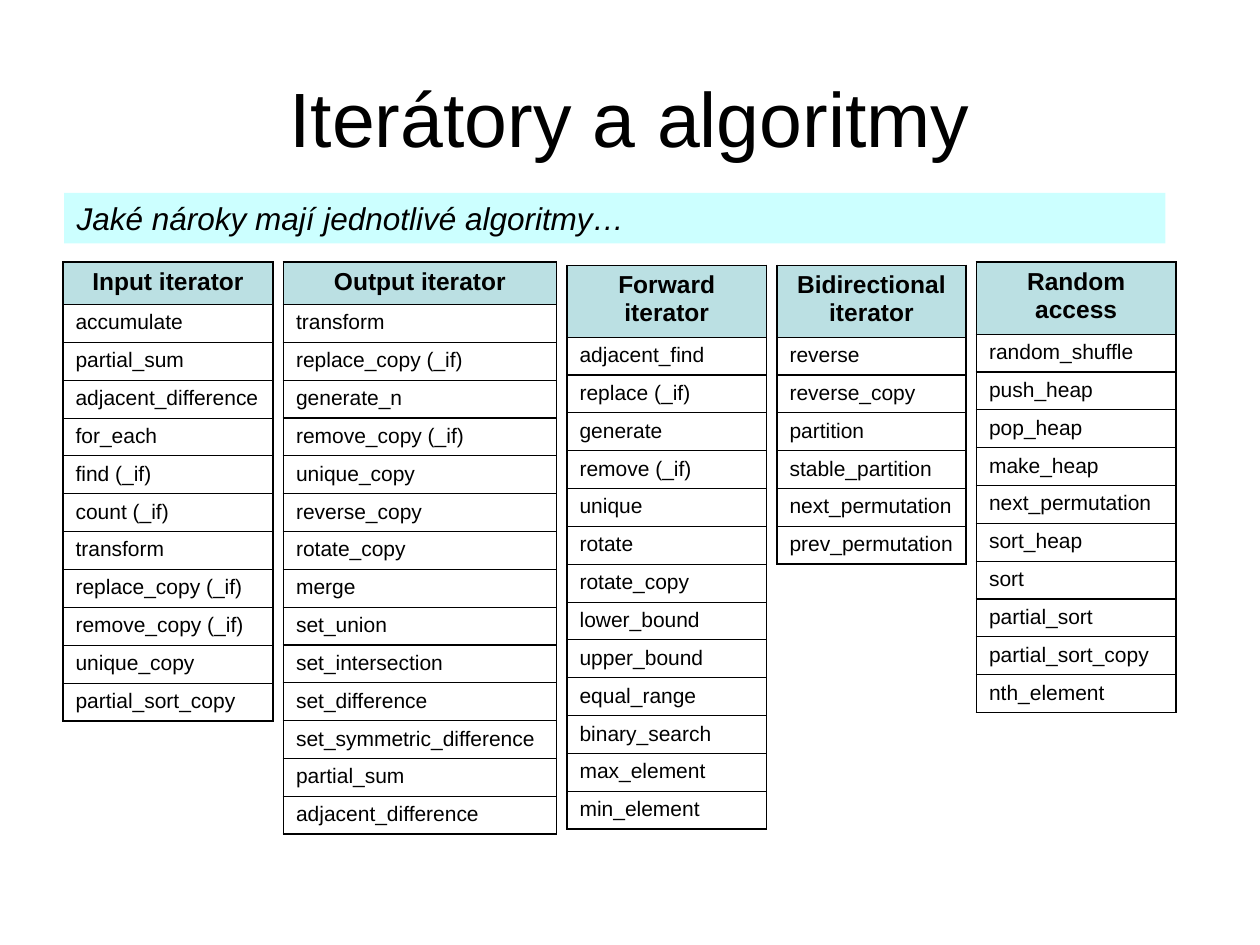
from lxml import etree
from pptx import Presentation
from pptx.dml.color import RGBColor
from pptx.enum import shapes, text
from pptx.oxml.ns import qn
from pptx.util import Inches, Pt

COLORS = {"ink": "000000", "band": "CCFFFF", "header": "BBE0E3"}
FONT = "Arial"
W, H = Inches(10), Inches(7.5)
COL = W / 120          # grid column
ROW = H / 25           # height of one table row
GAP = 1                # columns between tables
OUTER = 1.08           # border width, points
NO_STYLE = "{2D5ABB26-0587-4C30-8999-92F81FD0307C}"

# Header, width in columns, top in rows, header height in rows, inner rule, items
TABLES = [
    ("Input iterator", 20, 6.94, 1.11, 0.45,
     ["accumulate", "partial_sum", "adjacent_difference", "for_each",
      "find (_if)", "count (_if)", "transform", "replace_copy (_if)",
      "remove_copy (_if)", "unique_copy", "partial_sort_copy"]),
    ("Output iterator", 26, 6.94, 1.11, 0.75,
     ["transform", "replace_copy (_if)", "generate_n", "remove_copy (_if)",
      "unique_copy", "reverse_copy", "rotate_copy", "merge", "set_union",
      "set_intersection", "set_difference", "set_symmetric_difference",
      "partial_sum", "adjacent_difference"]),
    ("Forward iterator", 19, 7.02, 1.9, 0.75,
     ["adjacent_find", "replace (_if)", "generate", "remove (_if)", "unique",
      "rotate", "rotate_copy", "lower_bound", "upper_bound", "equal_range",
      "binary_search", "max_element", "min_element"]),
    ("Bidirectional iterator", 18, 7.02, 1.9, 0.75,
     ["reverse", "reverse_copy", "partition", "stable_partition",
      "next_permutation", "prev_permutation"]),
    ("Random access", 19, 6.94, 1.9, 0.75,
     ["random_shuffle", "push_heap", "pop_heap", "make_heap",
      "next_permutation", "sort_heap", "sort", "partial_sort",
      "partial_sort_copy", "nth_element"]),
]


def rgb(name):
    return RGBColor.from_string(COLORS[name])


def write(tf, words, size, align=text.PP_ALIGN.LEFT, bold=False, italic=False):
    tf.word_wrap = True
    p = tf.paragraphs[0]
    p.text = words
    p.alignment = align
    p.font.name, p.font.size = FONT, Pt(size)
    p.font.bold, p.font.italic = bold, italic
    p.font.color.rgb = rgb("ink")


def set_borders(cell, top, bottom):
    tc_pr = cell._tc.get_or_add_tcPr()
    for side, width in zip("LRTB", (OUTER, OUTER, top, bottom)):
        ln = etree.SubElement(tc_pr, qn(f"a:ln{side}"), w=str(Pt(width)))
        fill = etree.SubElement(ln, qn("a:solidFill"))
        etree.SubElement(fill, qn("a:srgbClr"), val=COLORS["ink"])


def add_title(s, box, words):
    tf = s.shapes.add_textbox(*box).text_frame
    tf.vertical_anchor = text.MSO_ANCHOR.MIDDLE
    write(tf, words, 44, text.PP_ALIGN.CENTER)


def add_band(s, box, words):
    sp = s.shapes.add_shape(shapes.MSO_SHAPE.RECTANGLE, *box)
    sp.shadow.inherit = False
    sp.fill.solid()
    sp.fill.fore_color.rgb = rgb("band")
    sp.line.fill.background()
    sp.text_frame.vertical_anchor = text.MSO_ANCHOR.TOP
    write(sp.text_frame, words, 18, italic=True)


def add_list_table(s, box, header, header_height, rule, items):
    last = len(items)
    table = s.shapes.add_table(last + 1, 1, *box).table
    table.first_row = table.horz_banding = False
    table._tbl.tblPr.find(qn("a:tableStyleId")).text = NO_STYLE
    for i, words in enumerate([header] + items):
        cell = table.cell(i, 0)
        table.rows[i].height = int(ROW if i else header_height)
        top = OUTER if i == 0 else 0.75 if i == 1 else rule
        bottom = 0.75 if i == 0 else OUTER if i == last else rule
        set_borders(cell, top, bottom)
        if i:
            cell.fill.background()
            write(cell.text_frame, words, 12)
        else:
            cell.fill.solid()
            cell.fill.fore_color.rgb = rgb("header")
            write(cell.text_frame, words, 14, text.PP_ALIGN.CENTER, bold=True)


def area(left, top, width, height):
    """Turn grid columns and rows into a box."""
    return [int(v) for v in (left * COL, top * ROW, width * COL, height * ROW)]


def main():
    prs = Presentation()
    prs.slide_width, prs.slide_height = W, H
    s = prs.slides.add_slide(prs.slide_layouts[6])

    # Heading
    add_title(s, area(6, 1, 108, 4.17), "Iterátory a algoritmy")
    add_band(s, area(6.12, 5.1, 104.88, 1.34),
             "Jaké nároky mají jednotlivé algoritmy…")

    # One table for each iterator category, left to right
    left = 6
    for header, width, top, head, rule, items in TABLES:
        box = area(left, top, width, head + len(items))
        add_list_table(s, box, header, head * ROW, rule, items)
        left += width + GAP

    prs.save("out.pptx")


if __name__ == "__main__":
    main()
